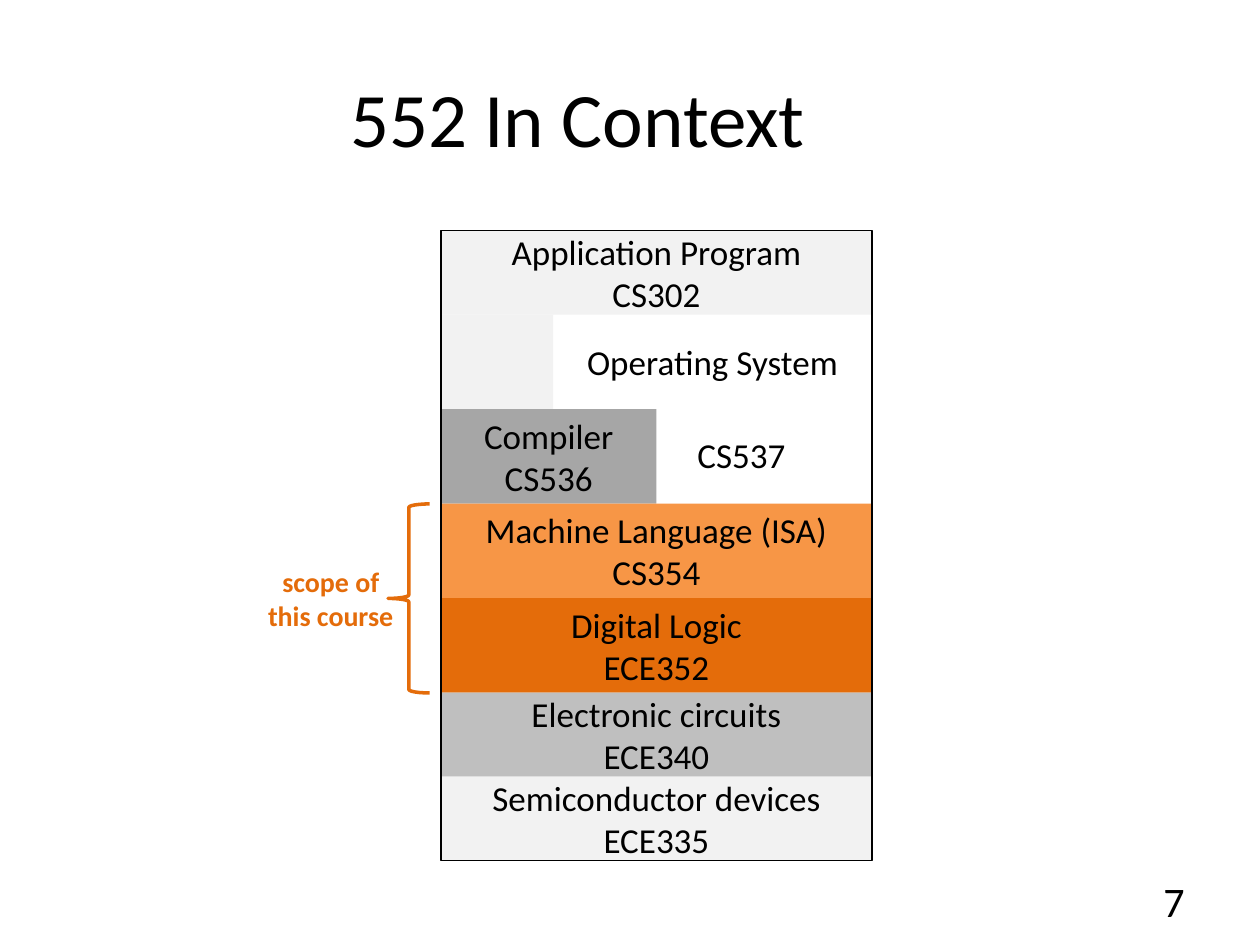
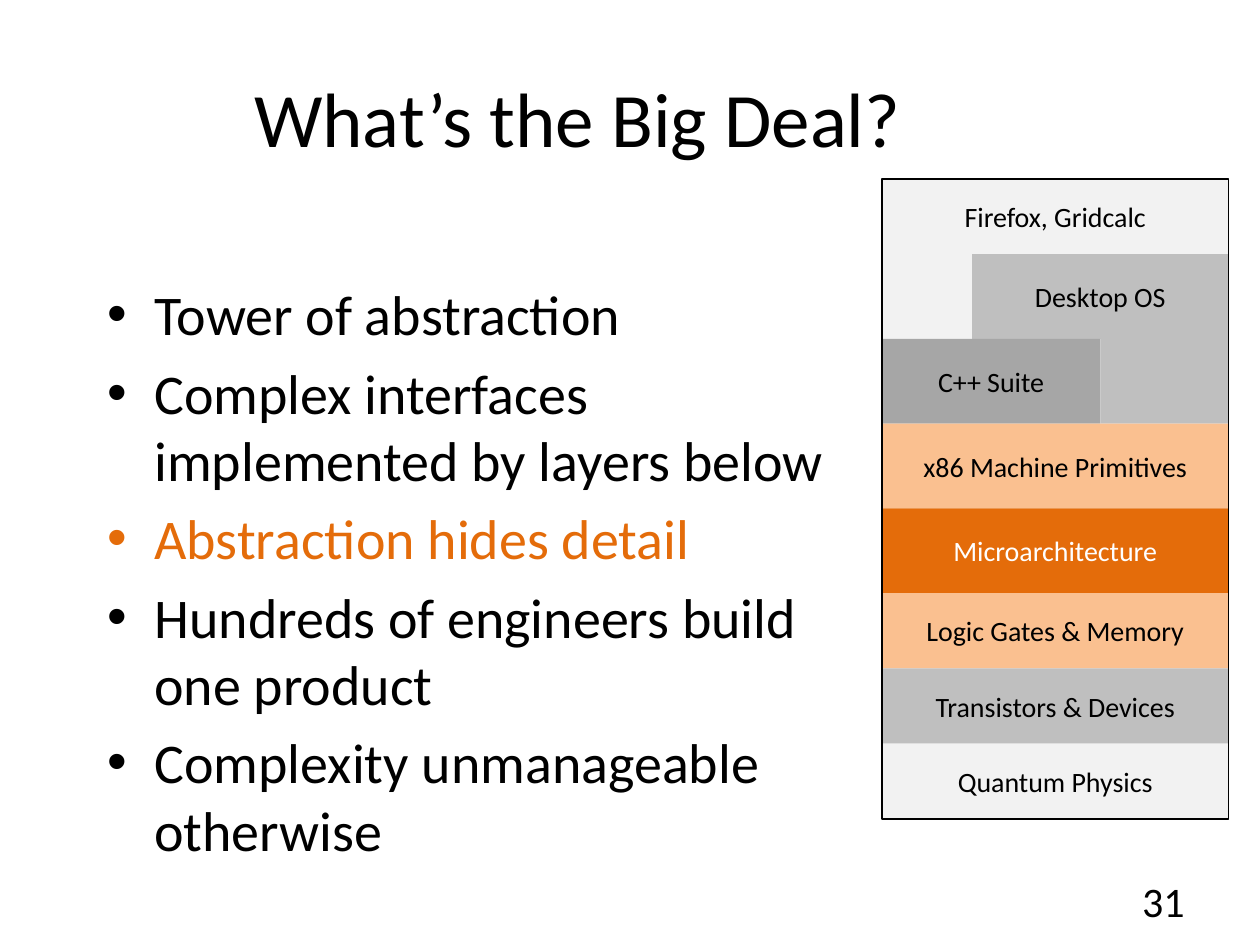
import pptx
import pptx.dml.color
import pptx.enum.shapes
import pptx.enum.text
import pptx.util

Inches = pptx.util.Inches
Pt = pptx.util.Pt
SHAPE = pptx.enum.shapes.MSO_SHAPE
ALIGN = pptx.enum.text.PP_ALIGN
MIDDLE = pptx.enum.text.MSO_ANCHOR.MIDDLE

FONT = "Calibri"
COLORS = {
    "black": "000000",
    "white": "FFFFFF",
    "pale": "F2F2F2",
    "silver": "BFBFBF",
    "gray": "A6A6A6",
    "peach": "FAC090",
    "orange": "F79646",
    "accent": "E46C0A",
}
TITLE_BOX = (0.5, 0.3, 8.17, 1.25)
NUMBER_BOX = (8.33, 6.95, 1.17, 0.4)
TALL, SHORT = 9, 8

COURSES = [
    (SHORT, [(1, "pale", ["Application Program", "CS302"])]),
    (TALL, [(0.26, "pale", []), (0.74, None, ["Operating System"])]),
    (TALL, [(0.5, "gray", ["Compiler", "CS536"])]),
    (TALL, [(1, "orange", ["Machine Language (ISA)", "CS354"])]),
    (TALL, [(1, "accent", ["Digital Logic", "ECE352"])]),
    (SHORT, [(1, "silver", ["Electronic circuits", "ECE340"])]),
    (SHORT, [(1, "pale", ["Semiconductor devices", "ECE335"])]),
]
PRODUCTS = [
    (SHORT, [(1, "pale", ["Firefox, Gridcalc"])]),
    (TALL, [(0.26, "pale", []), (0.74, "silver", ["Desktop OS"])]),
    (TALL, [(0.63, "gray", ["C++ Suite"]), (0.37, "silver", [])]),
    (TALL, [(1, "peach", ["x86 Machine Primitives"])]),
    (TALL, [(1, "accent", ["Microarchitecture"])]),
    (SHORT, [(1, "peach", ["Logic Gates & Memory"])]),
    (SHORT, [(1, "silver", ["Transistors & Devices"])]),
    (SHORT, [(1, "pale", ["Quantum Physics"])]),
]
POINTS = [
    ("Tower of abstraction", "black"),
    ("Complex interfaces implemented by layers below", "black"),
    ("Abstraction hides detail", "accent"),
    ("Hundreds of engineers build one product", "black"),
    ("Complexity unmanageable otherwise", "black"),
]


def rgb(color):
    """Return the named colour."""
    return pptx.dml.color.RGBColor.from_string(COLORS[color])


def inches(box):
    """Convert a left, top, width, height box to lengths."""
    return [Inches(value) for value in box]


def place(placeholder, box):
    """Move a placeholder to a box."""
    (placeholder.left, placeholder.top,
     placeholder.width, placeholder.height) = inches(box)


def write(frame, lines, size, color="black", align=ALIGN.CENTER, bold=False):
    """Write one paragraph for each line."""
    for index, line in enumerate(lines):
        paragraph = frame.add_paragraph() if index else frame.paragraphs[0]
        paragraph.alignment = align
        run = paragraph.add_run()
        run.text = line
        run.font.name = FONT
        run.font.size = Pt(size)
        run.font.bold = bold
        run.font.color.rgb = rgb(color)


def add_label(slide, box, lines, size, **style):
    """Add a wrapped, vertically centred text box."""
    frame = slide.shapes.add_textbox(*inches(box)).text_frame
    frame.word_wrap = True
    frame.vertical_anchor = MIDDLE
    write(frame, lines, size, **style)


def add_block(slide, box, kind=SHAPE.RECTANGLE, fill=None, line=None, width=1):
    """Add a flat preset shape with optional fill and outline."""
    block = slide.shapes.add_shape(kind, *inches(box))
    block.shadow.inherit = False
    if fill:
        block.fill.solid()
        block.fill.fore_color.rgb = rgb(fill)
    else:
        block.fill.background()
    if line:
        block.line.color.rgb = rgb(line)
        block.line.width = Pt(width)
    else:
        block.line.fill.background()
    return block


def add_layer(slide, box, fill, lines, size, color):
    """Add one labelled block of a tower."""
    frame = add_block(slide, box, fill=fill).text_frame
    frame.word_wrap = False
    frame.vertical_anchor = MIDDLE
    frame.margin_left = frame.margin_right = 0
    frame.margin_top = frame.margin_bottom = 0
    write(frame, lines, size, color)


def add_tower(slide, box, layers, size, accent_text="black"):
    """Stack layers by weight in a box and frame them."""
    left, top, width, height = box
    unit = height / sum(weight for weight, _ in layers)
    for weight, cells in layers:
        x = left
        for share, fill, lines in cells:
            color = accent_text if fill == "accent" else "black"
            cell = (x, top, share * width, weight * unit)
            add_layer(slide, cell, fill, lines, size, color)
            x += share * width
        top += weight * unit
    add_block(slide, box, line="black")


def add_scope(slide, box):
    """Mark the layers of this course with a label and a brace."""
    left, top, width, height = box
    add_label(slide, (left, top + height / 2 - 0.32, 1.25, 0.64),
              ["scope of this course"], 16, color="accent", bold=True)
    add_block(slide, (left + width - 0.33, top, 0.33, height),
              SHAPE.LEFT_BRACE, line="accent", width=2)


def add_points(slide, box):
    """Fill the body placeholder with the bulleted points."""
    body = slide.placeholders[1]
    place(body, box)
    frame = body.text_frame
    frame.auto_size = pptx.enum.text.MSO_AUTO_SIZE.NONE
    write(frame, [text for text, _ in POINTS], 32, align=ALIGN.LEFT)
    for index, (_, color) in enumerate(POINTS):
        paragraph = frame.paragraphs[index]
        paragraph.space_before = Pt(6.4 if index else 0)
        paragraph.runs[0].font.color.rgb = rgb(color)


def add_slide(deck, layout, title, number):
    """Start a slide with its title and page number."""
    slide = deck.slides.add_slide(deck.slide_layouts.get_by_name(layout))
    place(slide.shapes.title, TITLE_BOX)
    write(slide.shapes.title.text_frame, [title], 44)
    add_label(slide, NUMBER_BOX, [number], 24, align=ALIGN.RIGHT)
    return slide


def build_context(deck):
    """Build the slide that places the course among others."""
    slide = add_slide(deck, "Title Only", "552 In Context", "7")
    left, top = 3.5, 1.83
    add_tower(slide, (left, top, 3.42, 5), COURSES, 20)
    add_label(slide, (left + 1.93, top + 1.56, 0.91, 0.44), ["CS537"], 20)
    add_scope(slide, (left - 1.5, top + 2.17, 1.41, 1.5))


def build_big_deal(deck):
    """Build the slide on the tower of abstraction."""
    slide = add_slide(deck, "Title and Content", "What’s the Big Deal?", "31")
    add_points(slide, (0.75, 2.17, 6.09, 4.5))
    add_tower(slide, (7, 1.42, 2.75, 5.08), PRODUCTS, 16, "white")


def main():
    """Build and save the deck."""
    deck = pptx.Presentation()
    deck.slide_width, deck.slide_height = Inches(10), Inches(7.5)
    build_context(deck)
    build_big_deal(deck)
    deck.save("out.pptx")


if __name__ == "__main__":
    main()
